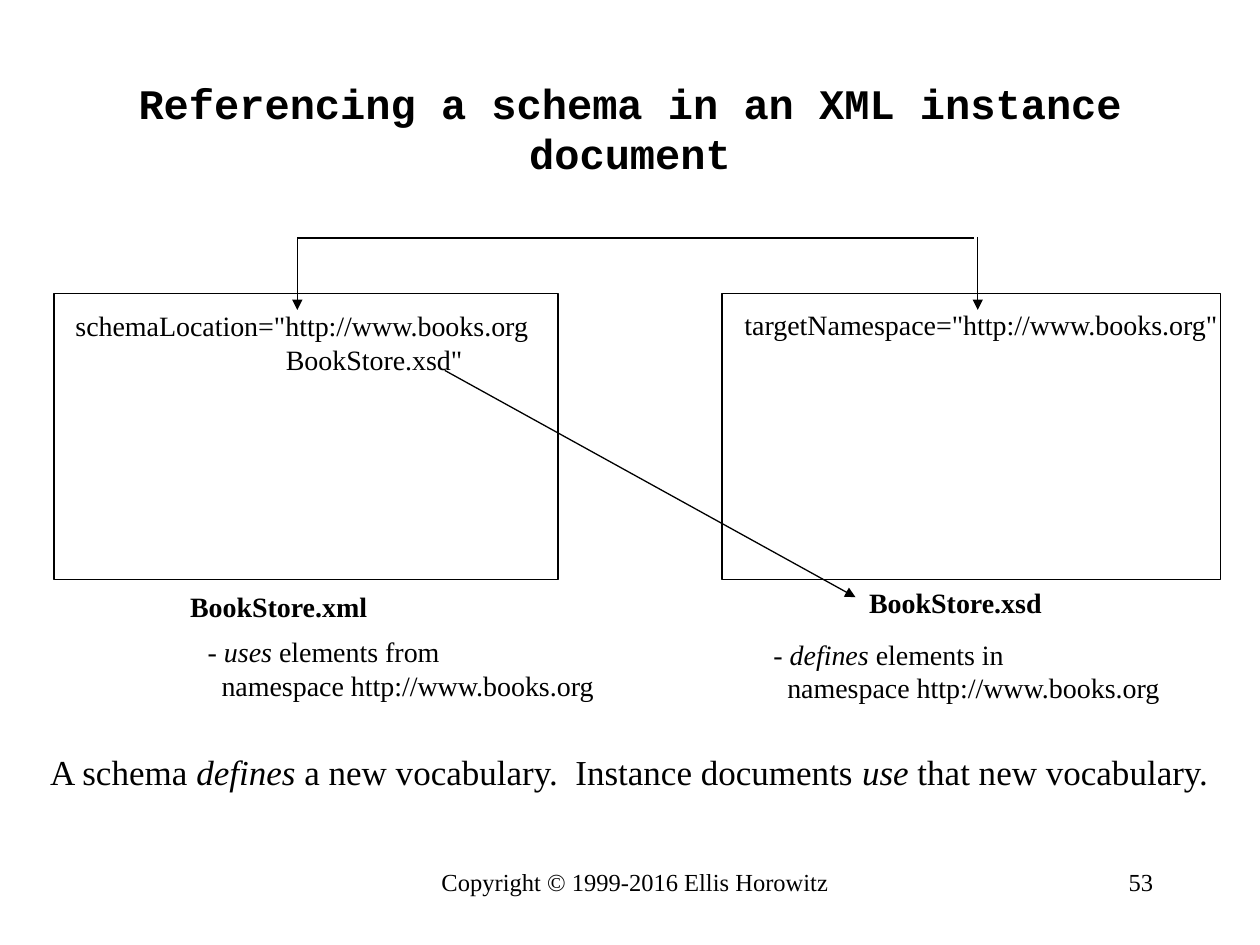
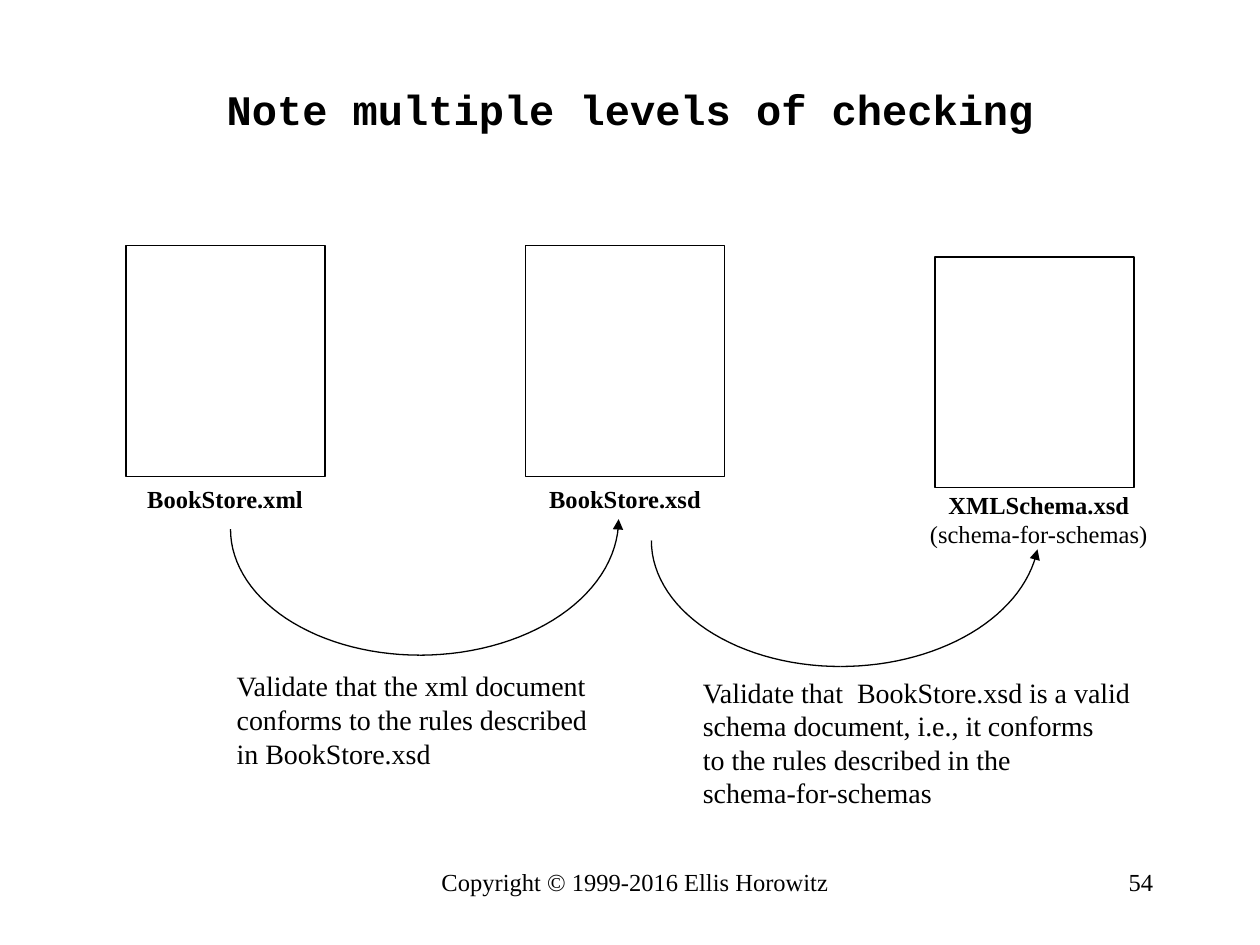
from dataclasses import dataclass
from math import cos, radians, sin

from lxml import etree
from pptx import Presentation
from pptx.dml.color import RGBColor
from pptx.enum.shapes import MSO_CONNECTOR, MSO_SHAPE
from pptx.enum.text import MSO_ANCHOR, MSO_AUTO_SIZE, PP_ALIGN
from pptx.oxml.ns import qn
from pptx.util import Inches, Pt

LEFT, CENTER, RIGHT = PP_ALIGN.LEFT, PP_ALIGN.CENTER, PP_ALIGN.RIGHT
MIDDLE, TOP = MSO_ANCHOR.MIDDLE, MSO_ANCHOR.TOP
NO_FIT = MSO_AUTO_SIZE.NONE
RECTANGLE, STRAIGHT = MSO_SHAPE.RECTANGLE, MSO_CONNECTOR.STRAIGHT
TITLE_ONLY = 5
BOLD, ITALIC = {"bold": True}, {"italic": True}


@dataclass(frozen=True)
class Theme:
    """Colours, fonts and type sizes of the deck."""

    ink: RGBColor = RGBColor(0, 0, 0)
    paper: RGBColor = RGBColor(255, 255, 255)
    body_font: str = "Times New Roman"
    title_font: str = "Courier New"
    title: int = 24
    summary: int = 20
    body: int = 16
    small: int = 14
    line: float = 0.75


THEME = Theme()


def inches(*values):
    """Convert numbers to lengths in inches."""
    return [Inches(v) for v in values]


def set_attrs(target, values):
    """Set each named attribute of the target."""
    for name, value in values.items():
        setattr(target, name, value)


def write(tf, paragraphs, size, align=LEFT, font=THEME.body_font, indents=()):
    """Fill a text frame; a paragraph is a list of (text, format) runs."""
    for i, runs in enumerate(paragraphs):
        p = tf.paragraphs[0] if i == 0 else tf.add_paragraph()
        p.alignment = align
        if i < len(indents) and indents[i]:
            p._p.get_or_add_pPr().set("marL", str(Inches(indents[i])))
        for text, extra in runs:
            r = p.add_run()
            r.text = text
            set_attrs(r.font, {"name": font, "size": Pt(size), **extra})
            r.font.color.rgb = THEME.ink


def plain(*lines):
    """Make one unformatted paragraph of each line."""
    return [[(line, {})] for line in lines]


def add_text(s, at, paragraphs, size=THEME.body, wrap=False, **style):
    """Add a text box."""
    tf = s.shapes.add_textbox(*inches(*at)).text_frame
    set_attrs(tf, {"word_wrap": wrap, "auto_size": NO_FIT, "vertical_anchor": TOP})
    write(tf, paragraphs, size, **style)


def add_slide(prs, title, at, number):
    """Add a slide with its title, copyright line and number."""
    s = prs.slides.add_slide(prs.slide_layouts[TITLE_ONLY])
    sp = s.shapes.title
    set_attrs(sp, dict(zip(("left", "top", "width", "height"), inches(*at))))
    tf = sp.text_frame
    set_attrs(tf, {"word_wrap": True, "auto_size": NO_FIT, "vertical_anchor": MIDDLE})
    write(tf, [[(title, BOLD)]], THEME.title, CENTER, THEME.title_font)
    add_text(s, (3.25, 6.83, 3.58, 0.5), plain("Copyright © 1999-2016 Ellis Horowitz"),
             THEME.small, True, align=CENTER)
    add_text(s, (7.17, 6.83, 2.08, 0.5), plain(str(number)), THEME.small, True, align=RIGHT)
    return s


def style_line(sp, arrow=False):
    """Give a shape or connector the thin ink line, with or without an arrowhead."""
    sp.line.color.rgb = THEME.ink
    sp.line.width = Pt(THEME.line)
    if arrow:
        ln = sp._element.spPr.find(qn("a:ln"))
        etree.SubElement(ln, qn("a:tailEnd"), type="triangle")


def add_document(s, at):
    """Add the outlined rectangle that stands for a document."""
    sp = s.shapes.add_shape(RECTANGLE, *inches(*at))
    sp.shadow.inherit = False
    sp.fill.solid()
    sp.fill.fore_color.rgb = THEME.paper
    style_line(sp)


def add_line(s, start, end, arrow=True):
    """Add a straight connector."""
    sp = s.shapes.add_connector(STRAIGHT, *inches(*start, *end))
    style_line(sp, arrow)
    etree.SubElement(sp._element.spPr, qn("a:effectLst"))


def add_arc(s, center, radii, end, arrow=False, steps=30):
    """Add an elliptical arc from the bottom point to the end angle in degrees."""
    angles = [radians(90 + (end - 90) * i / steps) for i in range(steps + 1)]
    points = [inches(center[0] + radii[0] * cos(a), center[1] + radii[1] * sin(a))
              for a in angles]
    builder = s.shapes.build_freeform(*points[0])
    builder.add_line_segments(points[1:], close=False)
    sp = builder.convert_to_shape()
    sp.shadow.inherit = False
    sp.fill.background()
    style_line(sp, arrow)


def build_referencing(prs):
    """Build the slide on linking an instance document to its schema."""
    s = add_slide(prs, "Referencing a schema in an XML instance document",
                  (0.75, 0.42, 8.5, 1.19), 53)
    add_document(s, (0.43, 2.33, 4, 2.27))
    add_document(s, (5.73, 2.33, 3.96, 2.27))
    add_text(s, (1.41, 4.63, 1.61, 0.37), [[("BookStore.xml", BOLD)]])
    add_text(s, (6.8, 4.6, 1.57, 0.37), [[("BookStore.xsd", BOLD)]])
    add_text(s, (5.81, 2.39, 3.98, 0.37), plain('targetNamespace="http://www.books.org"'))
    add_text(s, (0.5, 2.4, 3.81, 0.64),
             plain('schemaLocation="http://www.books.org', 'BookStore.xsd"'),
             indents=(0, 1.67))
    add_line(s, (3.53, 2.94), (6.79, 4.74))
    add_line(s, (2.36, 1.89), (7.73, 1.89), arrow=False)
    add_line(s, (7.76, 1.88), (7.76, 2.46))
    add_line(s, (2.36, 1.89), (2.36, 2.46))
    for left, top, verb, rest in ((6.04, 5.01, "defines", " elements in"),
                                  (1.55, 4.99, "uses", " elements from")):
        add_text(s, (left, top, 3.28, 0.64),
                 [[("- ", {}), (verb, ITALIC), (rest, {})],
                  [("namespace http://www.books.org", {})]], indents=(0, 0.11))
    add_text(s, (0.3, 5.91, 9.42, 0.77),
             [[("A schema ", {}), ("defines", ITALIC),
               (" a new vocabulary.  Instance documents ", {}), ("use", ITALIC),
               (" that new vocabulary.", {})]], THEME.summary, True)


def build_checking(prs):
    """Build the slide on the chain of validation steps."""
    s = add_slide(prs, "Note multiple levels of checking", (0.75, 0.47, 8.5, 0.79), 54)
    for left, top in ((1, 1.95), (4.17, 1.95), (7.42, 2.04)):
        add_document(s, (left, top, 1.58, 1.83))
    add_text(s, (1.07, 3.79, 1.44, 0.34), [[("BookStore.xml", BOLD)]], THEME.small)
    add_text(s, (4.26, 3.79, 1.41, 0.34), [[("BookStore.xsd", BOLD)]], THEME.small)
    add_text(s, (7.28, 3.84, 1.93, 0.57),
             [[("XMLSchema.xsd", BOLD)], [("(schema-for-schemas)", {})]],
             THEME.small, align=CENTER)
    for x, bottom, end in ((3.33, 5.2, 0), (6.67, 5.29, 8)):
        add_arc(s, (x, bottom - 1), (1.5, 1), 180)
        add_arc(s, (x, bottom - 1.08), (1.58, 1.08), end, arrow=True)
    add_text(s, (1.78, 5.26, 2.99, 0.9),
             plain("Validate that the xml document", "conforms to the rules described",
                   "in BookStore.xsd"))
    add_text(s, (5.48, 5.31, 3.61, 1.17),
             plain("Validate that  BookStore.xsd is a valid",
                   "schema document, i.e., it conforms",
                   "to the rules described in the", "schema-for-schemas"))


def main():
    """Build and save the deck."""
    prs = Presentation()
    prs.slide_width, prs.slide_height = inches(10, 7.5)
    build_referencing(prs)
    build_checking(prs)
    prs.save("out.pptx")


if __name__ == "__main__":
    main()
